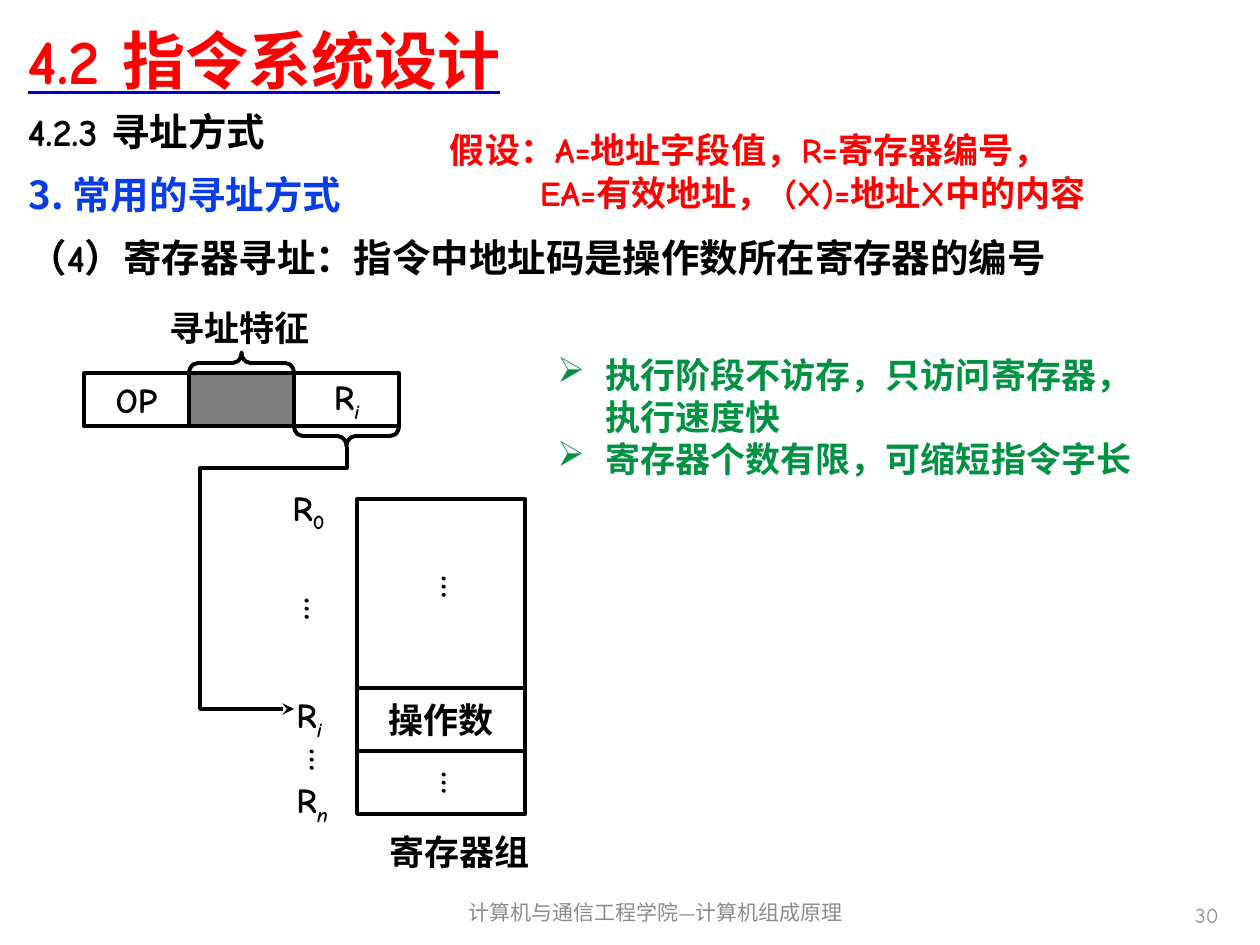
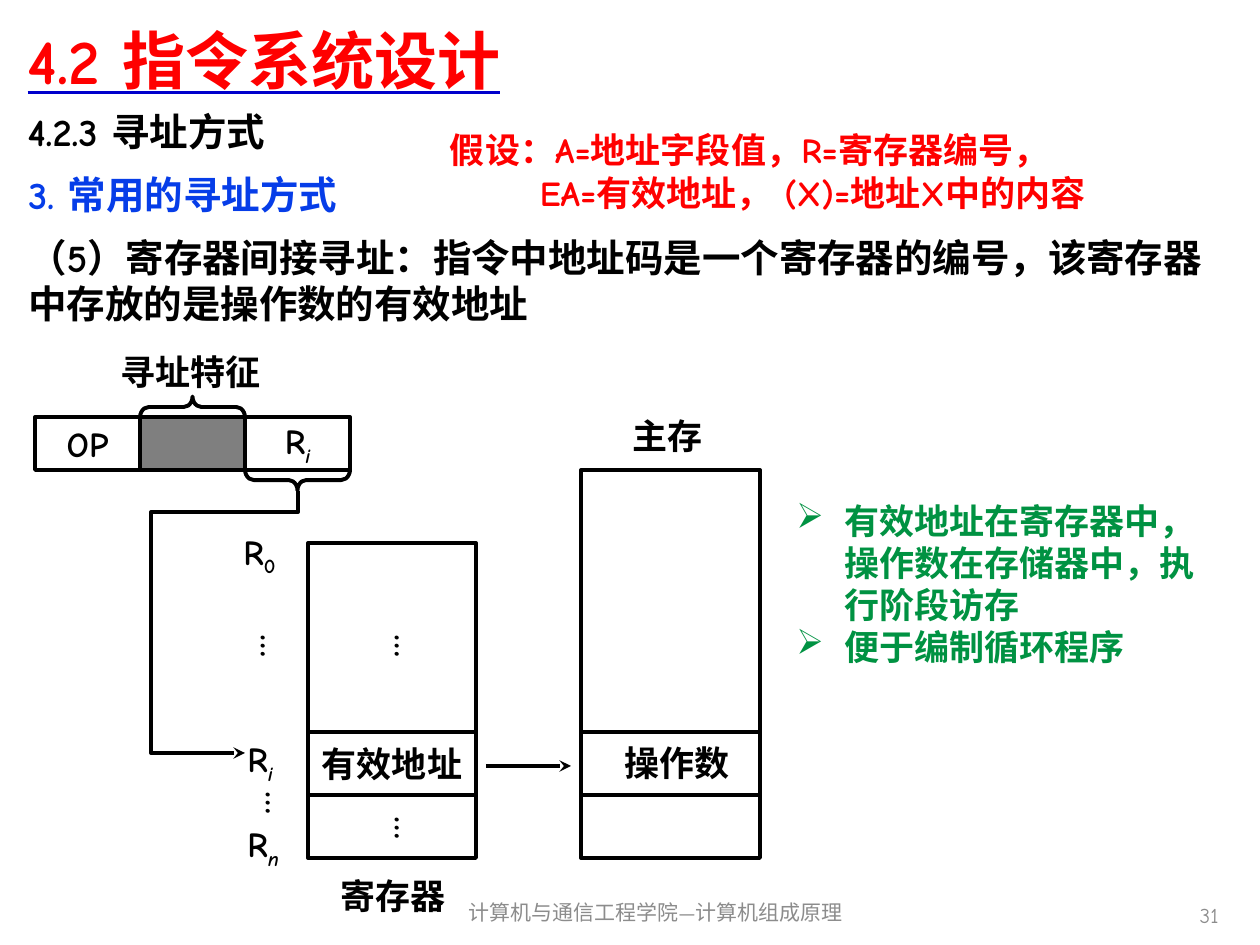
from lxml import etree
from pptx import Presentation
from pptx.dml.color import RGBColor
from pptx.enum.shapes import MSO_CONNECTOR, MSO_SHAPE
from pptx.enum.text import MSO_ANCHOR, MSO_AUTO_SIZE, PP_ALIGN
from pptx.oxml.ns import qn
from pptx.util import Emu, Pt

COLORS = {
    "title": "FF0000",
    "underline": "0000CC",
    "heading": "063DE8",
    "text": "000000",
    "note": "009242",
    "footer": "8C8C8C",
}
FONT = "Comic Neue"
HEADING_FONT = "Noto Sans CJK SC"
EMU_PER_PX = 914400 / 126
CELL_WIDTH, CELL_HEIGHT = 105, 53
REGISTER_WIDTH = 168


def px(value):
    return Emu(round(value * EMU_PER_PX))


def place(shape, box):
    shape.left, shape.top, shape.width, shape.height = map(px, box)


def add_child(parent, tag, **attributes):
    return etree.SubElement(parent, qn(tag), attributes)


def style(paragraph, size, color, bold=True, font=FONT):
    paragraph.font.size = Pt(size)
    paragraph.font.bold = bold
    paragraph.font.color.rgb = RGBColor.from_string(COLORS[color])
    paragraph.font.name = font
    latin = paragraph._p.pPr.find(qn("a:defRPr")).find(qn("a:latin"))
    east_asian = latin.makeelement(qn("a:ea"), {"typeface": FONT})
    latin.addnext(east_asian)


def set_indent(paragraph, margin, first_line=0, bullet=None):
    properties = paragraph._p.get_or_add_pPr()
    properties.set("marL", str(px(margin)))
    properties.set("indent", str(px(first_line)))
    if bullet:
        add_child(properties, "a:buChar", char=bullet)
    else:
        add_child(properties, "a:buNone")


def add_label(slide, box, text, size=20, color="text", wrap=False, grow=True, **font_options):
    shape = slide.shapes.add_textbox(*map(px, box))
    frame = shape.text_frame
    frame.word_wrap = wrap
    frame.auto_size = MSO_AUTO_SIZE.SHAPE_TO_FIT_TEXT if grow else MSO_AUTO_SIZE.NONE
    frame.text = text
    for paragraph in frame.paragraphs:
        style(paragraph, size, color, **font_options)
    return shape


def add_subscript(paragraph, subscript):
    run = paragraph.add_run()
    run.text = subscript
    run.font.italic = subscript.isalpha()
    run._r.get_or_add_rPr().set("baseline", "-25000")


def outline(shape, arrow=False):
    shape.line.color.rgb = RGBColor.from_string(COLORS["text"])
    shape.line.width = Pt(2.25)
    if arrow:
        add_child(shape.line._get_or_add_ln(), "a:tailEnd", type="stealth")


def add_outlined(slide, kind, box):
    shape = slide.shapes.add_shape(kind, *map(px, box))
    shape.shadow.inherit = False
    shape.fill.background()
    outline(shape)
    return shape


def add_cell(slide, box, text="", subscript=""):
    cell = add_outlined(slide, MSO_SHAPE.RECTANGLE, box)
    if text:
        frame = cell.text_frame
        frame.word_wrap = False
        frame.vertical_anchor = MSO_ANCHOR.MIDDLE
        frame.text = text
        paragraph = frame.paragraphs[0]
        paragraph.alignment = PP_ALIGN.CENTER
        style(paragraph, 20, "text")
        if subscript:
            add_subscript(paragraph, subscript)
    return cell


def add_line(slide, start, end, arrow=False):
    line = slide.shapes.add_connector(MSO_CONNECTOR.STRAIGHT, *map(px, start + end))
    outline(line, arrow)
    add_child(line._element.spPr, "a:effectLst")


def add_brace(slide, center_x, center_y, rotation):
    depth = 21
    box = (center_x - depth / 2, center_y - CELL_WIDTH / 2, depth, CELL_WIDTH)
    brace = add_outlined(slide, MSO_SHAPE.LEFT_BRACE, box)
    brace.adjustments[0] = 0.417
    brace.rotation = rotation


def add_titles(slide):
    title, body = slide.placeholders[0], slide.placeholders[1]
    place(title, (15, 6, 1221, 107))
    place(body, (15, 102, 1221, 72))
    for shape, text, anchor, size, color in (
        (title, "4.2 指令系统设计", MSO_ANCHOR.MIDDLE, 36, "title"),
        (body, "4.2.3 寻址方式", MSO_ANCHOR.TOP, 22, "text"),
    ):
        frame = shape.text_frame
        frame.text = text
        frame.word_wrap = True
        frame.auto_size = MSO_AUTO_SIZE.NONE
        frame.vertical_anchor = anchor
        paragraph = frame.paragraphs[0]
        paragraph.alignment = PP_ALIGN.LEFT
        paragraph.space_before = Pt(0)
        set_indent(paragraph, 0)
        style(paragraph, size, color)
    run = title.text_frame.paragraphs[0].runs[0]
    run.font.underline = True
    underline_fill = add_child(run._r.rPr, "a:uFill")
    solid = add_child(underline_fill, "a:solidFill")
    add_child(solid, "a:srgbClr", val=COLORS["underline"])


def add_footer(slide, number):
    for box, text, alignment in (
        ((422, 887, 467, 50), "计算机与通信工程学院—计算机组成原理", PP_ALIGN.CENTER),
        ((937, 890, 294, 50), number, PP_ALIGN.RIGHT),
    ):
        label = add_label(slide, box, text, 12, "footer", wrap=True, grow=False, bold=False)
        label.text_frame.vertical_anchor = MSO_ANCHOR.MIDDLE
        label.text_frame.paragraphs[0].alignment = alignment


def add_assumptions(slide):
    text = "假设：A=地址字段值，R=寄存器编号，\nEA=有效地址， (X)=地址X中的内容"
    label = add_label(slide, (441, 125, 776, 92), text, color="title", wrap=True)
    frame = label.text_frame
    frame.margin_left = frame.margin_right = px(9)
    frame.margin_top = frame.margin_bottom = px(4)
    frame.paragraphs[1]._p.pPr.set("marL", str(px(90)))


def add_notes_list(slide, box, notes):
    shape = slide.shapes.add_textbox(*map(px, box))
    frame = shape.text_frame
    frame.word_wrap = True
    frame.text = "\n".join(notes)
    for paragraph in frame.paragraphs:
        set_indent(paragraph, 48, -48, "➢")
        style(paragraph, 20, "note")


def add_instruction(slide, left, top):
    add_cell(slide, (left, top, CELL_WIDTH, CELL_HEIGHT), "OP")
    mode = add_cell(slide, (left + CELL_WIDTH, top, CELL_WIDTH, CELL_HEIGHT))
    mode.fill.solid()
    mode.fill.fore_color.rgb = RGBColor.from_string(COLORS["text"])
    add_child(mode._element.spPr.find(qn("a:solidFill"))[0], "a:alpha", val="50000")
    add_cell(slide, (left + 2 * CELL_WIDTH, top, CELL_WIDTH, CELL_HEIGHT), "R", "i")
    add_brace(slide, left + 1.5 * CELL_WIDTH, top - 10, 90)
    add_brace(slide, left + 2.5 * CELL_WIDTH, top + CELL_HEIGHT + 10, 270)
    add_label(slide, (left + 73, top - 73, 166, 54), "寻址特征")
    corners = [(263, 74), (263, 95), (116, 95), (116, 336), (210, 336)]
    points = [(px(left + x), px(top + y)) for x, y in corners]
    builder = slide.shapes.build_freeform(*points[0])
    builder.add_line_segments(points[1:], close=False)
    route = builder.convert_to_shape()
    route.shadow.inherit = False
    route.fill.background()
    outline(route, arrow=True)


def add_registers(slide, left, top, content, caption, dots):
    add_cell(slide, (left, top, REGISTER_WIDTH, 189))
    add_cell(slide, (left, top + 189, REGISTER_WIDTH, 63), content)
    add_cell(slide, (left, top + 252, REGISTER_WIDTH, 63))
    for x, y in dots:
        label = add_label(slide, (left + x, top + y, 68, 37), "…")
        label.text_frame._txBody.bodyPr.set("vert", "eaVert")
    for subscript, x, y, width in (("0", -77, -19, 64), ("i", -73, 188, 54), ("n", -73, 273, 60)):
        label = add_label(slide, (left + x, top + y, width, 55), "R")
        add_subscript(label.text_frame.paragraphs[0], subscript)
    add_label(slide, (left + 20, top + 325, 174, 54), caption, wrap=True)


def add_memory(slide, left, top):
    width = 179
    add_cell(slide, (left, top, width, 388))
    for y in (262, 325):
        add_line(slide, (left, top + y), (left + width, top + y))
    add_label(slide, (left + 31, top + 265, 131, 54), "操作数")
    add_label(slide, (left + 39, top - 62, 96, 54), "主存")


def add_addressing_slide(presentation, content):
    slide = presentation.slides.add_slide(presentation.slide_layouts[1])
    add_titles(slide)
    add_footer(slide, content["number"])
    add_label(slide, (16, 165, 1221, 69), "3. 常用的寻址方式", 22, "heading",
              wrap=True, grow=False, font=content["heading_font"])
    add_label(slide, (16, 228, 1201, content["definition_height"]),
              content["definition"], 22, wrap=True)
    add_notes_list(slide, content["notes_box"], content["notes"])
    left, top = content["diagram"]
    add_instruction(slide, left, top)
    add_registers(slide, left + 273, top + 126, content["register"],
                  content["caption"], content["dots"])
    add_assumptions(slide)
    return slide


REGISTER_ADDRESSING = {
    "number": "30",
    "heading_font": HEADING_FONT,
    "definition": "（4）寄存器寻址：指令中地址码是操作数所在寄存器的编号",
    "definition_height": 59,
    "notes_box": (545, 347, 601, 140),
    "notes": ["执行阶段不访存，只访问寄存器，执行速度快", "寄存器个数有限，可缩短指令字长"],
    "diagram": (84, 373),
    "register": "操作数",
    "caption": "寄存器组",
    "dots": [(58, 64), (58, 260), (-79, 86), (-74, 237)],
}
INDIRECT_ADDRESSING = {
    "number": "31",
    "heading_font": FONT,
    "definition": "（5）寄存器间接寻址：指令中地址码是一个寄存器的编号，"
                  "该寄存器中存放的是操作数的有效地址",
    "definition_height": 106,
    "notes_box": (784, 493, 433, 183),
    "notes": ["有效地址在寄存器中， 操作数在存储器中，执行阶段访存", "便于编制循环程序"],
    "diagram": (35, 417),
    "register": "有效地址",
    "caption": "寄存器",
    "dots": [(60, 79), (60, 261), (-74, 79), (-69, 236)],
}


def main():
    presentation = Presentation()
    presentation.slide_width = px(1260)
    presentation.slide_height = px(945)
    add_addressing_slide(presentation, REGISTER_ADDRESSING)
    indirect_slide = add_addressing_slide(presentation, INDIRECT_ADDRESSING)
    add_memory(indirect_slide, 581, 470)
    add_line(indirect_slide, (486, 766), (571, 766), arrow=True)
    presentation.save("out.pptx")


if __name__ == "__main__":
    main()
